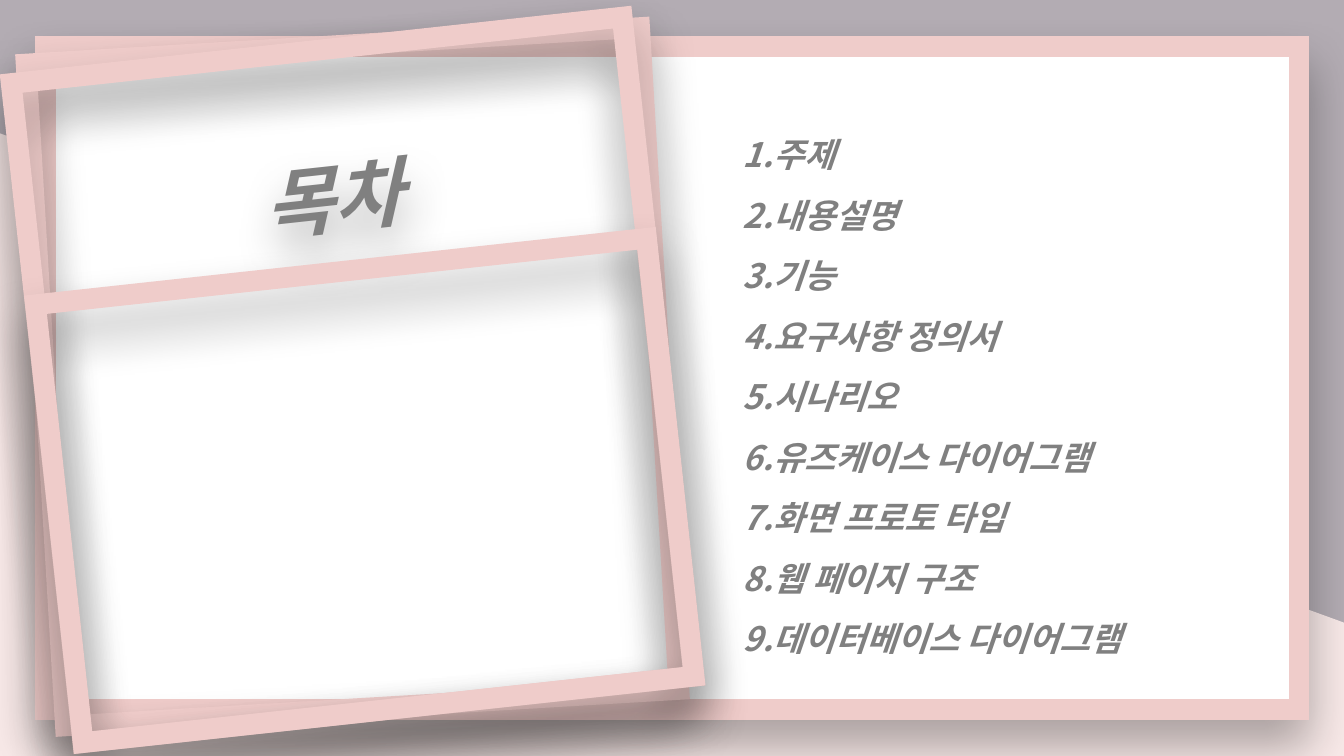
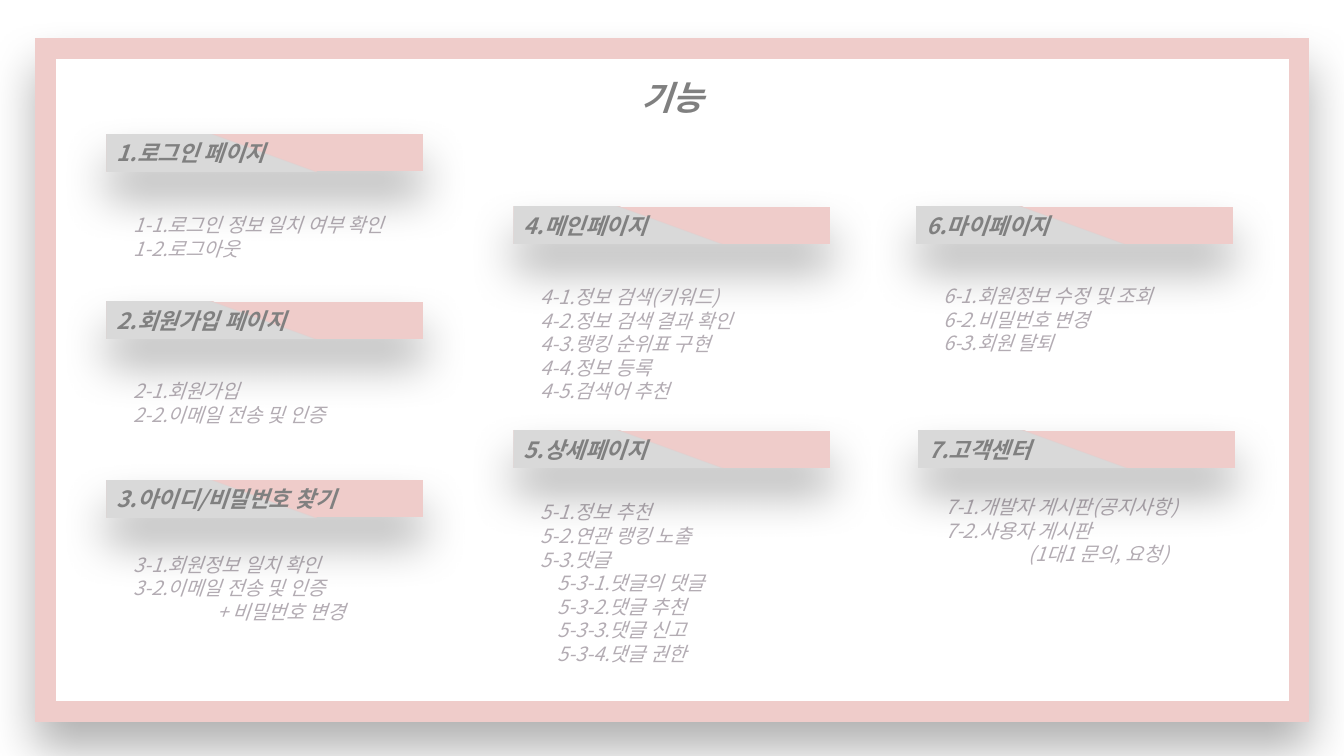
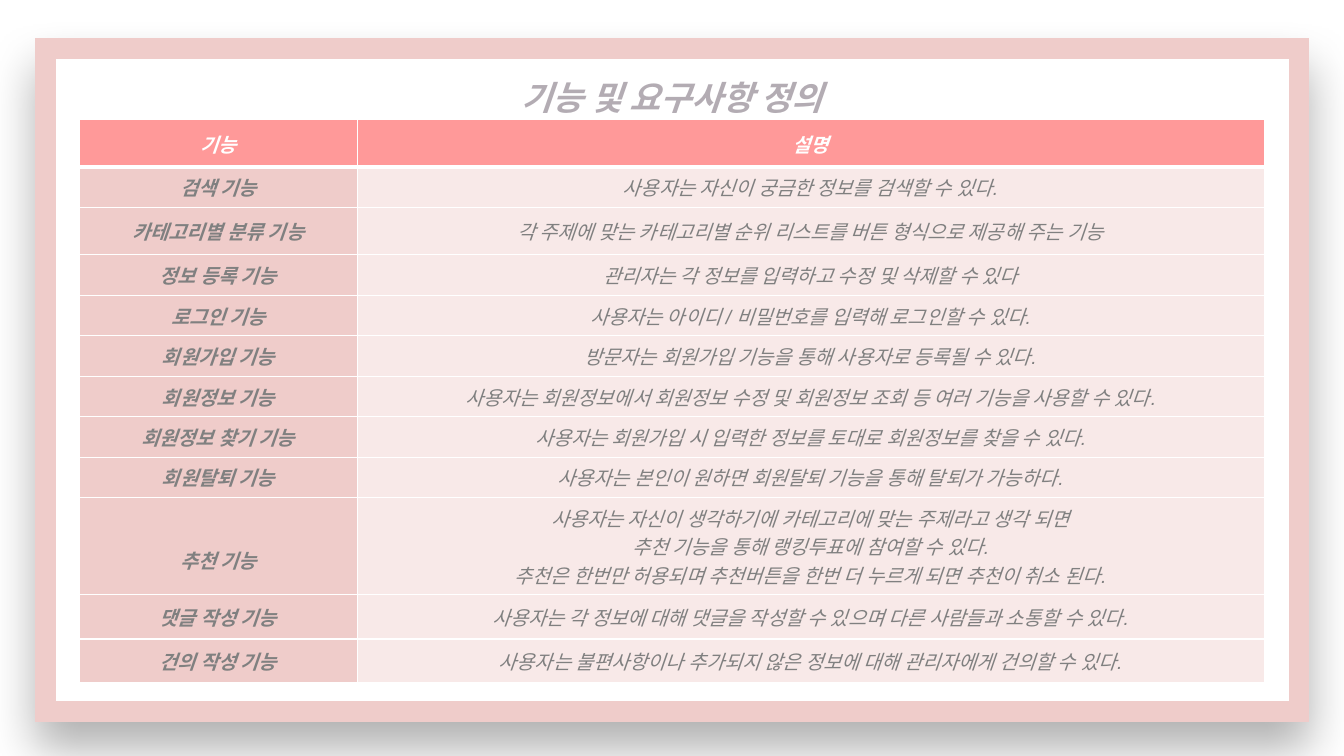
from dataclasses import dataclass

from lxml import etree
from pptx import Presentation
from pptx.dml.color import RGBColor
from pptx.enum.shapes import MSO_SHAPE
from pptx.enum.text import MSO_ANCHOR, PP_ALIGN
from pptx.oxml.ns import qn
from pptx.util import Cm, Pt

RECTANGLE = MSO_SHAPE.RECTANGLE
TOP, MIDDLE = MSO_ANCHOR.TOP, MSO_ANCHOR.MIDDLE
LEFT, CENTER = PP_ALIGN.LEFT, PP_ALIGN.CENTER

WHITE = RGBColor(0xFF, 0xFF, 0xFF)
GRAY = RGBColor(0x80, 0x80, 0x80)
LIGHT_GRAY = RGBColor(0xD9, 0xD9, 0xD9)
MAUVE = RGBColor(0xB3, 0xAC, 0xB3)
BLUSH = RGBColor(0xF8, 0xE9, 0xE8)
PINK = RGBColor(0xEF, 0xCC, 0xCA)
CORAL = RGBColor(0xFF, 0x99, 0x99)

FONT, TABLE_FONT = "Noto Sans CJK KR", "Arial"
LINE_HEIGHT = 1.2
FRAME_LEFT, FRAME_TOP = 1.14, 1.22
FRAME_WIDTH, FRAME_HEIGHT = 31.6, 16.71
BAR_WIDTH, BAR_HEIGHT = 7.98, 0.94
BODY_WIDTH = 8.31
ITEM, SUBITEM, CONTINUED = 0.43, 0.86, 2.54

# Text formats
BOLD_ITALIC = {"name": FONT, "bold": True, "italic": True}
TITLE = BOLD_ITALIC | {"size": Pt(24)}
COVER = BOLD_ITALIC | {"size": Pt(54)}
BAR = BOLD_ITALIC | {"size": Pt(16)}
BODY = {"name": FONT, "size": Pt(14), "bold": False, "italic": True}
CELL = {"name": TABLE_FONT, "size": Pt(14), "italic": True}


@dataclass
class Frame:
    left: float
    top: float
    width: float
    height: float
    rotation: float = 0


@dataclass
class Section:
    left: float
    top: float
    title: str
    body_top: float
    body_height: float
    lines: list[tuple[float, str]]


CONTENTS = [
    "1.주제", "2.내용설명", "3.기능", "4.요구사항 정의서", "5.시나리오",
    "6.유즈케이스 다이어그램", "7.화면 프로토 타입", "8.웹 페이지 구조",
    "9.데이터베이스 다이어그램",
]

NOTE_FRAMES = [
    Frame(1.14, 1.14, 15.49, 16.71, -3.4),
    Frame(1.14, 1.22, 15.49, 16.71, -6.2),
    Frame(1.45, 6.81, 15.49, 11.1, -6.2),
]

SECTIONS = [
    Section(2.69, 3.38, "1.로그인 페이지", 5.16, 1.6, [
        (ITEM, "1-1.로그인 정보 일치 여부 확인"), (ITEM, "1-2.로그아웃")]),
    Section(2.69, 7.6, "2.회원가입 페이지", 9.37, 1.55, [
        (ITEM, "2-1.회원가입"), (ITEM, "2-2.이메일 전송 및 인증")]),
    Section(2.69, 12.1, "3.아이디/비밀번호 찾기", 14.05, 1.52, [
        (ITEM, "3-1.회원정보 일치 확인"), (ITEM, "3-2.이메일 전송 및 인증"),
        (CONTINUED, "+ 비밀번호 변경")]),
    Section(12.95, 5.21, "4.메인페이지", 6.81, 3.71, [
        (ITEM, "4-1.정보 검색(키워드)"), (ITEM, "4-2.정보 검색 결과 확인"),
        (ITEM, "4-3.랭킹 순위표 구현"), (ITEM, "4-4.정보 등록"),
        (ITEM, "4-5.검색어 추천")]),
    Section(12.95, 10.85, "5.상세페이지", 12.5, 4.37, [
        (ITEM, "5-1.정보 추천"), (ITEM, "5-2.연관 랭킹 노출"), (ITEM, "5-3.댓글"),
        (SUBITEM, "5-3-1.댓글의 댓글"), (SUBITEM, "5-3-2.댓글 추천"),
        (SUBITEM, "5-3-3.댓글 신고"), (SUBITEM, "5-3-4.댓글 권한")]),
    Section(23.09, 5.21, "6.마이페이지", 7.16, 1.78, [
        (ITEM, "6-1.회원정보 수정 및 조회"), (ITEM, "6-2.비밀번호 변경"),
        (ITEM, "6-3.회원 탈퇴")]),
    Section(23.14, 10.85, "7.고객센터", 12.47, 1.78, [
        (ITEM, "7-1.개발자 게시판(공지사항)"), (ITEM, "7-2.사용자 게시판"),
        (CONTINUED, "(1대1 문의, 요청)")]),
]

# Row height, function, description lines
REQUIREMENTS = [
    (1.19, "기능", ["설명"]),
    (1.02, "검색 기능", ["사용자는 자신이 궁금한 정보를 검색할 수 있다."]),
    (1.19, "카테고리별 분류 기능",
     ["각 주제에 맞는 카테고리별 순위 리스트를 버튼 형식으로 제공해 주는 기능"]),
    (1.02, "정보 등록 기능", ["관리자는 각 정보를 입력하고 수정 및 삭제할 수 있다"]),
    (1.02, "로그인 기능", ["사용자는 아이디 / 비밀번호를 입력해 로그인할 수 있다."]),
    (1.02, "회원가입 기능", ["방문자는 회원가입 기능을 통해 사용자로 등록될 수 있다."]),
    (1.02, "회원정보 기능",
     ["사용자는 회원정보에서 회원정보 수정 및 회원정보 조회 등 여러 기능을 사용할 수 있다."]),
    (1.02, "회원정보 찾기 기능",
     ["사용자는 회원가입 시 입력한 정보를 토대로 회원정보를 찾을 수 있다."]),
    (1.02, "회원탈퇴 기능", ["사용자는 본인이 원하면 회원탈퇴 기능을 통해 탈퇴가 가능하다."]),
    (2.44, "추천 기능", [
        "사용자는 자신이 생각하기에 카테고리에 맞는 주제라고 생각 되면",
        "추천 기능을 통해 랭킹투표에 참여할 수 있다.",
        "추천은 한번만 허용되며 추천버튼을 한번 더 누르게 되면 추천이 취소 된다."]),
    (1.12, "댓글 작성 기능",
     ["사용자는 각 정보에 대해 댓글을 작성할 수 있으며 다른 사람들과 소통할 수 있다."]),
    (1.09, "건의 작성 기능",
     ["사용자는 불편사항이나 추가되지 않은 정보에 대해 관리자에게 건의할 수 있다."]),
]


# Shared helpers
def write_lines(text_frame, lines: list[tuple[float, str]], values: dict,
                color: RGBColor, align=LEFT, spacing: float | None = LINE_HEIGHT) -> None:
    """Write one paragraph for each (indent in cm, text) pair."""
    for index, (indent, text) in enumerate(lines):
        para = text_frame.add_paragraph() if index else text_frame.paragraphs[0]
        para.alignment = align
        if spacing:
            para.line_spacing = Pt(round(values["size"].pt * spacing, 1))
        if indent:
            properties = para._p.get_or_add_pPr()
            properties.set("marL", str(Cm(indent)))
            properties.set("indent", "0")
        span = para.add_run()
        span.text = text
        for name, value in values.items():
            setattr(span.font, name, value)
        span.font.color.rgb = color
        east_asian = etree.SubElement(span._r.get_or_add_rPr(), qn("a:ea"))
        east_asian.set("typeface", FONT)


def add_shadow(shape) -> None:
    shape.shadow.inherit = False
    effects = shape._element.spPr.find(qn("a:effectLst"))
    shadow = etree.SubElement(
        effects, qn("a:outerShdw"), blurRad=str(Pt(34)), dist=str(Pt(19)),
        dir="5400000", algn="t", rotWithShape="0")
    black = etree.SubElement(shadow, qn("a:srgbClr"), val="000000")
    etree.SubElement(black, qn("a:alpha"), val="31000")


def split_fill(fill, colors: tuple, positions: tuple) -> None:
    """Two flat colours divided by a slanted edge."""
    fill.gradient()
    fill.gradient_angle = 250
    for stop, color, position in zip(fill.gradient_stops, colors, positions):
        stop.color.rgb = color
        stop.position = position


def add_frame(page, frame: Frame, filled: bool = False):
    box = page.shapes.add_shape(RECTANGLE, Cm(frame.left), Cm(frame.top),
                                Cm(frame.width), Cm(frame.height))
    box.rotation = frame.rotation
    if filled:
        box.fill.solid()
        box.fill.fore_color.rgb = WHITE
    else:
        box.fill.background()
    box.line.color.rgb = PINK
    box.line.width = Pt(14.75)
    etree.SubElement(box.line._get_or_add_ln(), qn("a:miter"), lim="800000")
    add_shadow(box)
    return box


def add_board(page, title: str = "", color: RGBColor = GRAY, top: float = FRAME_TOP) -> None:
    board = add_frame(page, Frame(FRAME_LEFT, top, FRAME_WIDTH, FRAME_HEIGHT), filled=True)
    if title:
        board.text_frame.vertical_anchor = TOP
        board.text_frame.margin_top = Cm(0.2)
        write_lines(board.text_frame, [(0, title)], TITLE, color, CENTER, LINE_HEIGHT * 1.5)


def add_text(page, left: float, top: float, width: float, height: float, anchor):
    text_frame = page.shapes.add_textbox(Cm(left), Cm(top), Cm(width), Cm(height)).text_frame
    text_frame.word_wrap = True
    text_frame.vertical_anchor = anchor
    return text_frame


def add_bar(page, section: Section) -> None:
    bar = page.shapes.add_shape(RECTANGLE, Cm(section.left), Cm(section.top),
                                Cm(BAR_WIDTH), Cm(BAR_HEIGHT))
    split_fill(bar.fill, (PINK, LIGHT_GRAY), (0.5, 0.51))
    bar.line.fill.background()
    add_shadow(bar)
    bar.text_frame.vertical_anchor = MIDDLE
    write_lines(bar.text_frame, [(0, section.title)], BAR, GRAY)


def set_borders(cell, widths: dict[str, float]) -> None:
    properties = cell._tc.get_or_add_tcPr()
    for index, (side, width) in enumerate(widths.items()):
        line = etree.Element(qn(f"a:{side}"), w=str(Pt(width)))
        fill = etree.SubElement(line, qn("a:solidFill"))
        etree.SubElement(fill, qn("a:srgbClr"), val=str(WHITE))
        properties.insert(index, line)


# Slides
def build_contents(page) -> None:
    split_fill(page.background.fill, (MAUVE, BLUSH), (0.5, 0.5))
    add_board(page, top=1.17)
    contents = add_text(page, 18.47, 2.75, 12.01, 13.95, TOP)
    write_lines(contents, [(0, line) for line in CONTENTS], TITLE, GRAY,
                spacing=LINE_HEIGHT * 1.5)
    notes = [add_frame(page, frame) for frame in NOTE_FRAMES]
    cover = notes[1].text_frame
    cover.vertical_anchor = TOP
    cover.margin_top = Cm(1.43)
    write_lines(cover, [(0, "목차")], COVER, GRAY, CENTER, LINE_HEIGHT * 1.5)


def build_functions(page) -> None:
    add_board(page, "기능")
    for section in SECTIONS:
        body = add_text(page, section.left, section.body_top, BODY_WIDTH,
                        section.body_height, MIDDLE)
        write_lines(body, section.lines, BODY, MAUVE)
    for section in SECTIONS:
        add_bar(page, section)


def build_requirements(page) -> None:
    add_board(page, "기능 및 요구사항 정의", MAUVE)
    widths = (6.99, 22.86)
    height = sum(row[0] for row in REQUIREMENTS)
    table = page.shapes.add_table(len(REQUIREMENTS), len(widths), Cm(2.01), Cm(3.02),
                                  Cm(sum(widths)), Cm(height)).table
    for column, width in zip(table.columns, widths):
        column.width = Cm(width)
    for row, (row_height, name, description) in enumerate(REQUIREMENTS):
        table.rows[row].height = Cm(row_height)
        for column, lines in enumerate(([name], description)):
            cell = table.cell(row, column)
            header = row == 0
            cell.vertical_anchor = MIDDLE
            cell.fill.solid()
            cell.fill.fore_color.rgb = CORAL if header else (PINK, BLUSH)[column]
            set_borders(cell, {"lnL": 1, "lnR": 1, "lnT": 3 if row == 1 else 1,
                               "lnB": 3 if header else 1})
            values = CELL | {"bold": header or column == 0}
            write_lines(cell.text_frame, [(0, line) for line in lines], values,
                        WHITE if header else GRAY, CENTER, None)
            # A name beside several lines sits lower than the middle
            if column == 0 and len(description) > 1:
                cell.margin_top = Cm(0.84)


def main() -> None:
    deck = Presentation()
    deck.slide_width, deck.slide_height = Cm(33.87), Cm(19.05)
    blank = deck.slide_layouts[6]
    for build in (build_contents, build_functions, build_requirements):
        build(deck.slides.add_slide(blank))
    deck.save("out.pptx")


if __name__ == "__main__":
    main()
